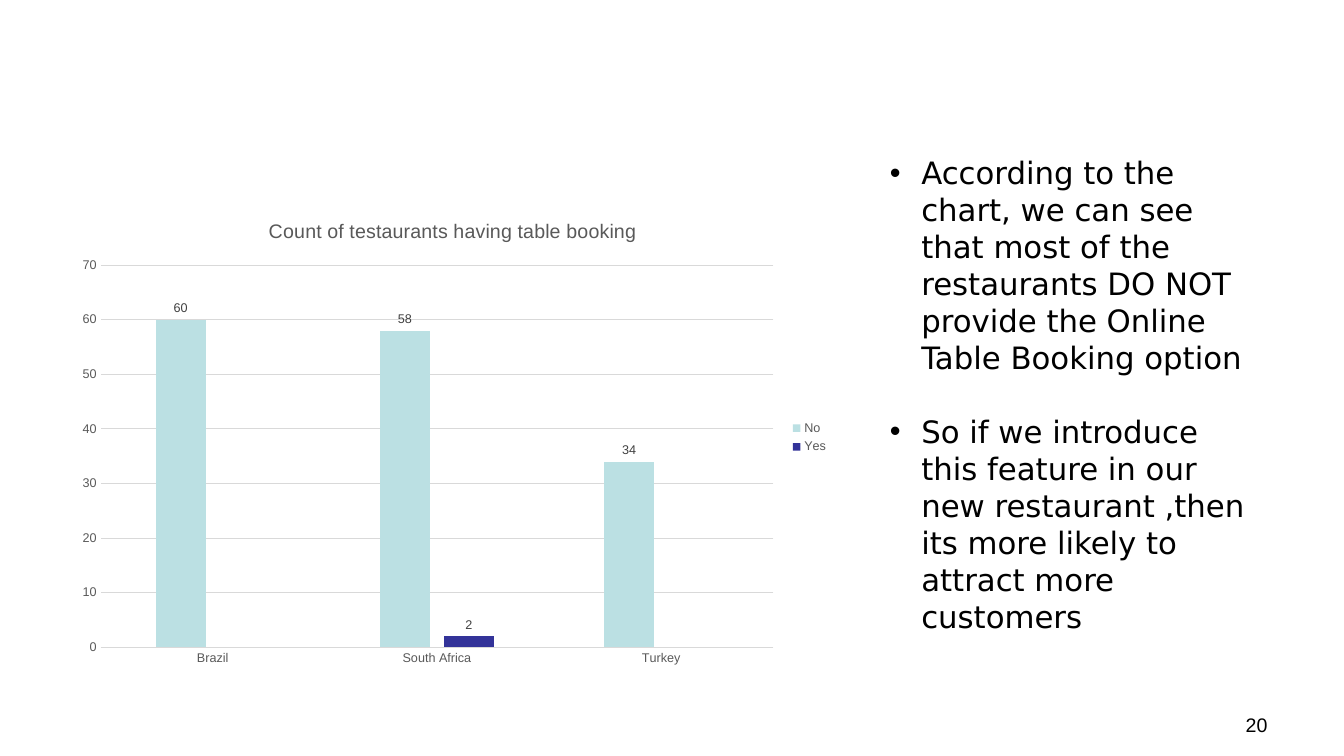
from dataclasses import dataclass
from lxml.etree import SubElement
from pptx import Presentation
from pptx.chart.data import CategoryChartData
from pptx.dml.color import RGBColor
from pptx.enum.chart import XL_CHART_TYPE, XL_LABEL_POSITION, XL_LEGEND_POSITION, XL_TICK_MARK
from pptx.enum.text import MSO_ANCHOR, MSO_AUTO_SIZE, PP_ALIGN
from pptx.oxml.ns import qn
from pptx.util import Pt

TITLE = "Count of testaurants having table booking"
COUNTRIES = ["Brazil", "South Africa", "Turkey"]
BOOKING = {"No": [60, 58, 34], "Yes": [None, 2, None]}
FINDINGS = [
    "According to the chart, we can see that most of the restaurants DO NOT provide the Online Table Booking option",
    "So if we introduce this feature in our new restaurant ,then its more likely to attract more customers",
]
PAGE = "20"
CHART_BOX = (48, 142.5, 551, 340)
FINDINGS_BOX = (628.5, 106.5, 278, 380)
PAGE_BOX = (688.5, 492, 224, 37.5)


@dataclass(frozen=True)
class Theme:
    ink: str = "000000"
    muted: str = "595959"
    value: str = "404040"
    grid: str = "D9D9D9"
    bars: tuple = ("BBE0E3", "333399")
    sans: str = "Arial"
    body: str = "DejaVu Sans"
    small: float = 9
    heading: float = 14
    text: float = 22


T = Theme()


def style(font, size=T.small, color=T.muted, name=T.sans):
    font.size = Pt(size)
    font.name = name
    font.bold = False
    font.color.rgb = RGBColor.from_string(color)


def rule(line):
    line.color.rgb = RGBColor.from_string(T.grid)
    line.width = Pt(0.75)


def add_text(s, box, lines, size=T.text, name=T.body, align=PP_ALIGN.LEFT,
             anchor=MSO_ANCHOR.TOP, fit=MSO_AUTO_SIZE.NONE, bullet=None, gap=0):
    tf = s.shapes.add_textbox(*map(Pt, box)).text_frame
    tf.word_wrap = True
    tf.auto_size = fit
    tf.vertical_anchor = anchor
    for i, line in enumerate(lines):
        p = tf.paragraphs[0] if i == 0 else tf.add_paragraph()
        p.alignment = align
        if i:
            p.space_before = Pt(gap)
        if bullet:
            pPr = p._p.get_or_add_pPr()
            pPr.set("marL", str(Pt(22.5)))
            pPr.set("indent", str(Pt(-22.5)))
            SubElement(SubElement(pPr, qn("a:buClr")), qn("a:srgbClr"), val=T.ink)
            SubElement(pPr, qn("a:buFont"), typeface=T.sans)
            SubElement(pPr, qn("a:buChar"), char=bullet)
        r = p.add_run()
        r.text = line
        style(r.font, size, T.ink, name)


def add_booking_chart(s):
    data = CategoryChartData()
    data.categories = COUNTRIES
    for name, counts in BOOKING.items():
        data.add_series(name, counts)
    chart = s.shapes.add_chart(XL_CHART_TYPE.COLUMN_CLUSTERED, *map(Pt, CHART_BOX), data).chart
    style(chart.font, 10, T.ink)

    chart.has_title = True
    p = chart.chart_title.text_frame.paragraphs[0]
    r = p.add_run()
    r.text = TITLE
    style(r.font, T.heading)

    chart.has_legend = True
    chart.legend.position = XL_LEGEND_POSITION.RIGHT
    chart.legend.include_in_layout = False
    style(chart.legend.font)

    for axis in (chart.category_axis, chart.value_axis):
        axis.major_tick_mark = axis.minor_tick_mark = XL_TICK_MARK.NONE
        style(axis.tick_labels.font)
    rule(chart.category_axis.format.line)
    chart.value_axis.format.line.fill.background()
    chart.value_axis.has_major_gridlines = True
    rule(chart.value_axis.major_gridlines.format.line)

    plot = chart.plots[0]
    plot.gap_width, plot.overlap = 219, -27
    plot.vary_by_categories = False
    for series, color in zip(plot.series, T.bars):
        series.format.fill.solid()
        series.format.fill.fore_color.rgb = RGBColor.from_string(color)
        series.invert_if_negative = False
        labels = series.data_labels
        labels.show_value = True
        labels.position = XL_LABEL_POSITION.OUTSIDE_END
        style(labels.font, color=T.value)


prs = Presentation()
prs.slide_width, prs.slide_height = Pt(960), Pt(540)
s = prs.slides.add_slide(prs.slide_layouts[6])
add_text(s, PAGE_BOX, [PAGE], size=T.heading, name=T.sans, align=PP_ALIGN.RIGHT, anchor=MSO_ANCHOR.BOTTOM)
add_text(s, FINDINGS_BOX, FINDINGS, fit=MSO_AUTO_SIZE.SHAPE_TO_FIT_TEXT, bullet="•", gap=26.5)
add_booking_chart(s)
prs.save("out.pptx")
